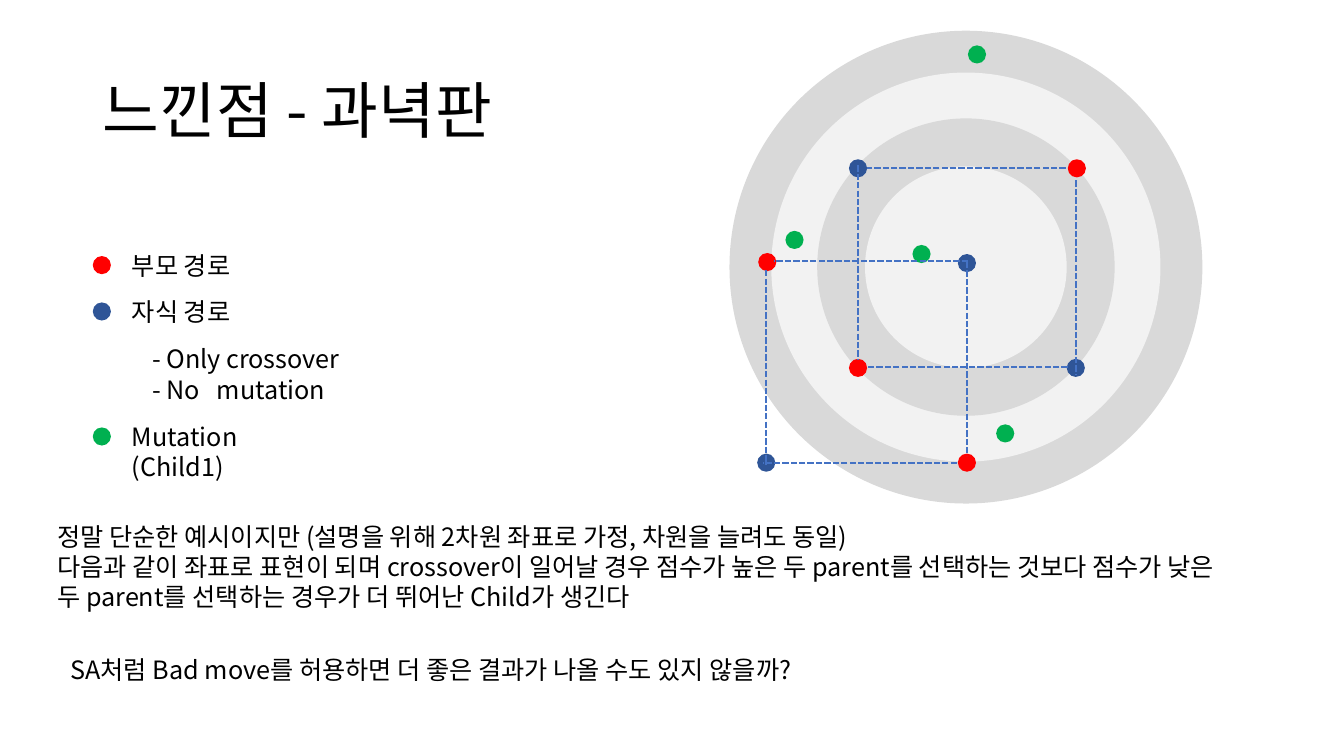
"""Build the target-board slide about crossover and mutation."""
from dataclasses import dataclass

from lxml.etree import SubElement
from pptx import Presentation
from pptx.dml.color import RGBColor
from pptx.enum.dml import MSO_LINE
from pptx.enum.shapes import MSO_CONNECTOR, MSO_SHAPE
from pptx.enum.text import MSO_ANCHOR
from pptx.oxml.ns import qn
from pptx.util import Inches, Pt


@dataclass(frozen=True)
class Theme:
    font: str = "Noto Sans CJK KR"
    ink: str = "000000"
    dark: str = "D9D9D9"
    light: str = "F2F2F2"
    parent: str = "FF0000"
    child: str = "2F5597"
    mutant: str = "00B050"
    dash: str = "4472C4"
    title: int = 44
    body: int = 18
    line: float = 1.5


THEME = Theme()
DOT = 0.18
TITLE = ["느낀점 - 과녁판"]
LEGEND = [
    (THEME.parent, 2.43, 0.4, "부모 경로"),
    (THEME.child, 2.89, 0.4, "자식 경로"),
    (THEME.mutant, 4.13, 0.71, "Mutation (Child1)"),
]
NOTES = [
    (1.41, 3.36, 2.6, 0.71, ["- Only crossover", "- No   mutation"]),
    (0.47, 5.12, 11.69, 1.31, [
        "정말 단순한 예시이지만 (설명을 위해 2차원 좌표로 가정, 차원을 늘려도 동일)",
        "다음과 같이 좌표로 표현이 되며 crossover이 일어날 경우 점수가 높은 두 parent를 "
        "선택하는 것보다 점수가 낮은 두 parent를 선택하는 경우가 더 뛰어난 Child가 생긴다",
    ]),
    (0.6, 6.44, 10.76, 0.4,
     ["SA처럼 Bad move를 허용하면 더 좋은 결과가 나올 수도 있지 않을까?"]),
]
CENTER = (9.58, 2.65)
RINGS = [(4.69, THEME.dark), (3.86, THEME.light), (2.95, THEME.dark), (2, THEME.light)]
DOTS = {
    THEME.parent: [(10.68, 1.67), (8.51, 3.65), (7.61, 2.6), (9.59, 4.59)],
    THEME.child: [(10.67, 3.65), (8.51, 1.67), (7.6, 4.59), (9.59, 2.61)],
    THEME.mutant: [(9.14, 2.52), (7.88, 2.38), (9.69, 0.54), (9.97, 4.3)],
}
DASHES = [
    (7.6, 2.68, 7.6, 4.6), (9.59, 2.6, 9.59, 4.52),
    (9.6, 2.59, 7.68, 2.59), (9.49, 4.59, 7.57, 4.59),
    (10.57, 1.67, 8.6, 1.67), (10.59, 3.64, 8.61, 3.64),
    (10.67, 1.79, 10.67, 3.71), (8.51, 1.64, 8.51, 3.56),
]


def color(code):
    return RGBColor.from_string(code)


def disc(slide, x, y, size, fill):
    box = [Inches(v) for v in (x - size / 2, y - size / 2, size, size)]
    shape = slide.shapes.add_shape(MSO_SHAPE.OVAL, *box)
    shape.shadow.inherit = False
    shape.fill.solid()
    shape.fill.fore_color.rgb = color(fill)
    shape.line.fill.background()


def write(slide, x, y, w, h, lines, size=THEME.body):
    frame = slide.shapes.add_textbox(*map(Inches, (x, y, w, h))).text_frame
    frame.word_wrap = True
    for i, line in enumerate(lines):
        para = frame.add_paragraph() if i else frame.paragraphs[0]
        run = para.add_run()
        run.text = line
        run.font.size = Pt(size)
        run.font.name = THEME.font
        run.font.color.rgb = color(THEME.ink)
        SubElement(run.font._element, qn("a:ea"), typeface=THEME.font)
    return frame


def dash(slide, *ends):
    line = slide.shapes.add_connector(MSO_CONNECTOR.STRAIGHT, *map(Inches, ends))
    line.line.color.rgb = color(THEME.dash)
    line.line.width = Pt(THEME.line)
    line.line.dash_style = MSO_LINE.SQUARE_DOT
    SubElement(line._element.spPr, qn("a:effectLst"))


def main():
    deck = Presentation()
    deck.slide_width, deck.slide_height = Inches(13.33), Inches(7.5)
    slide = deck.slides.add_slide(deck.slide_layouts[6])
    title = write(slide, 0.92, 0.4, 11.5, 1.45, TITLE, THEME.title)
    title.vertical_anchor = MSO_ANCHOR.MIDDLE
    title.paragraphs[0].line_spacing = 0.9
    for size, fill in RINGS:
        disc(slide, *CENTER, size, fill)
    for fill, y, h, text in LEGEND:
        disc(slide, 1.01, y + 0.2, DOT, fill)
        write(slide, 1.21, y, 1.44, h, [text])
    for fill, spots in DOTS.items():
        for x, y in spots:
            disc(slide, x, y, DOT, fill)
    for ends in DASHES:
        dash(slide, *ends)
    for note in NOTES:
        write(slide, *note)
    deck.save("out.pptx")


if __name__ == "__main__":
    main()
